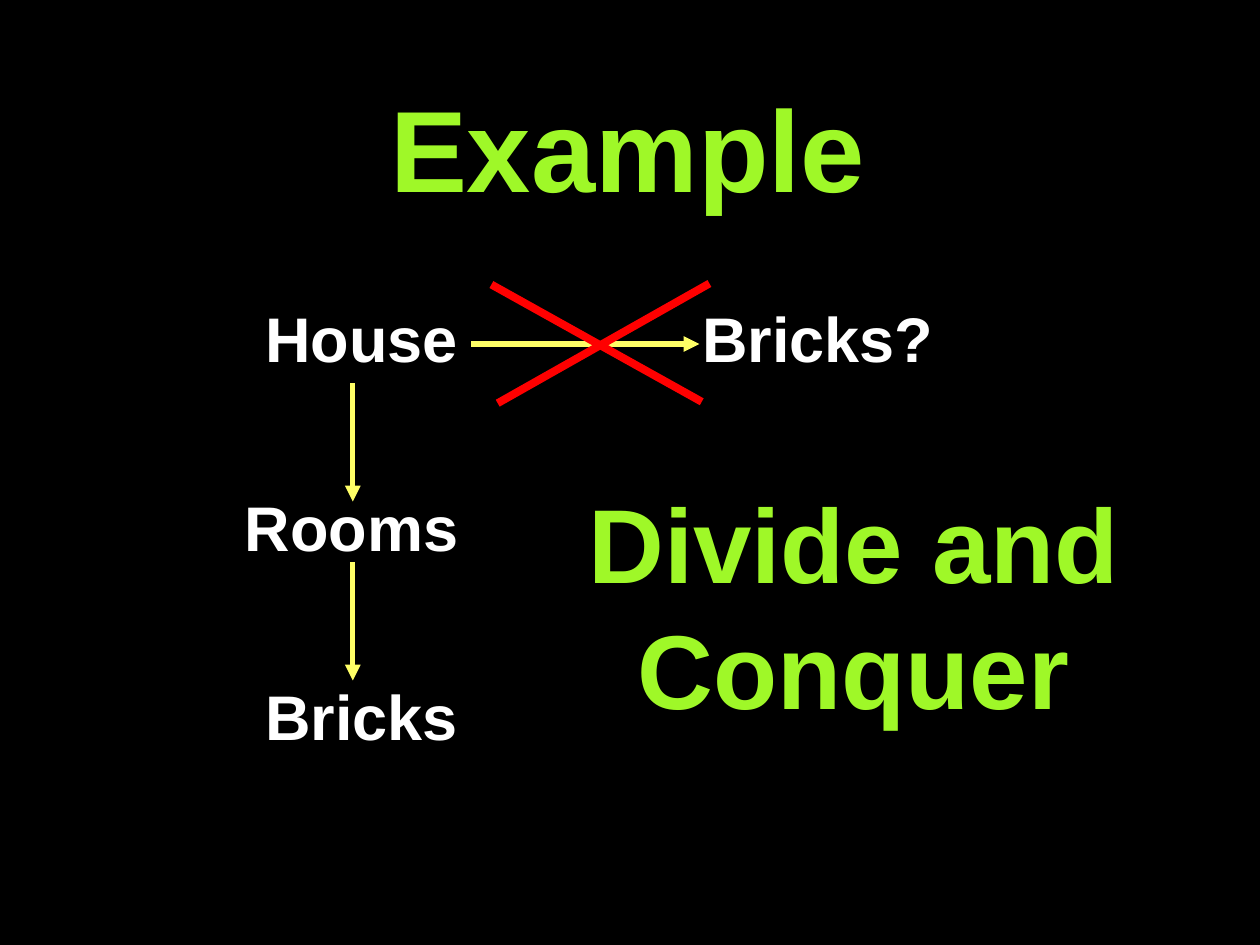
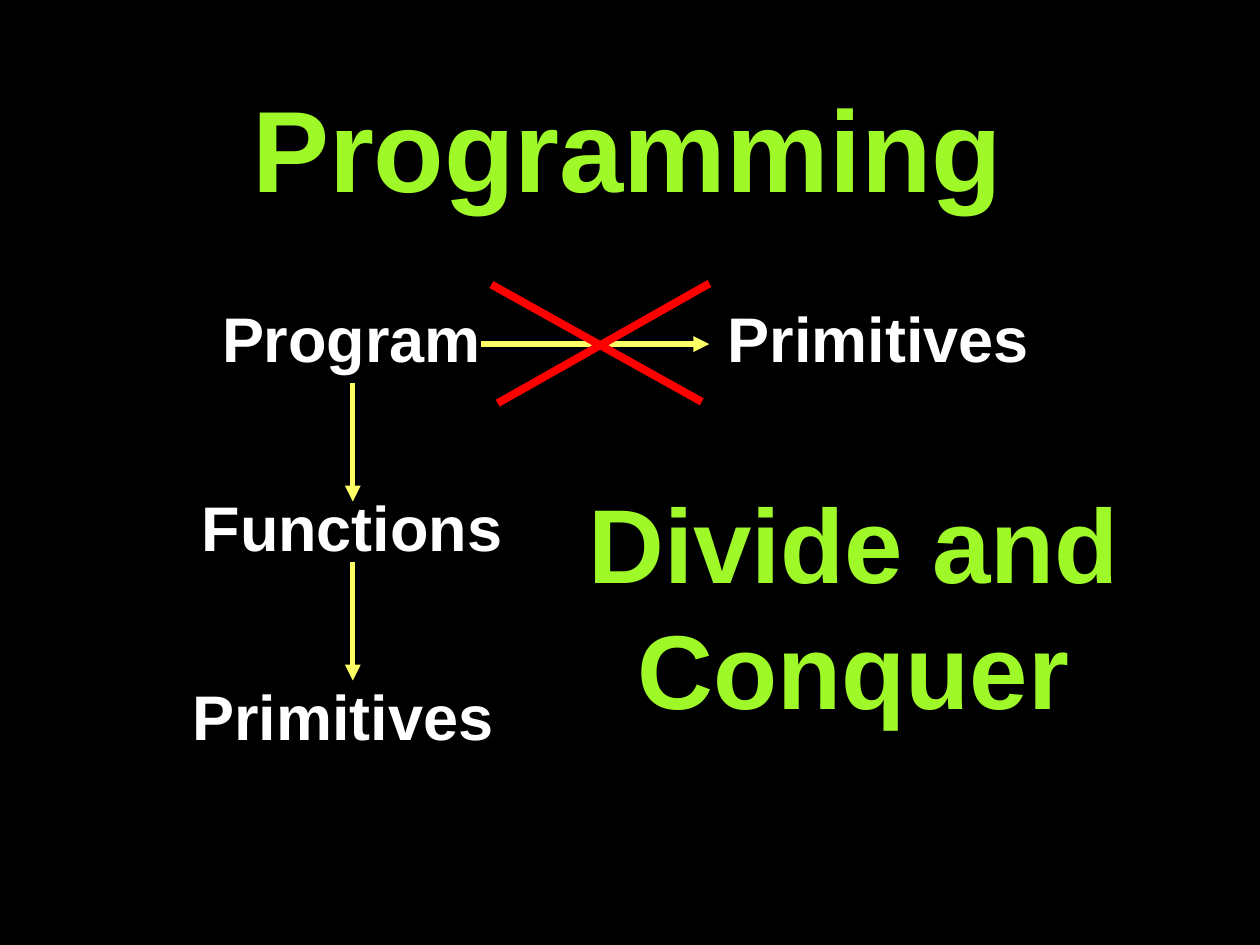
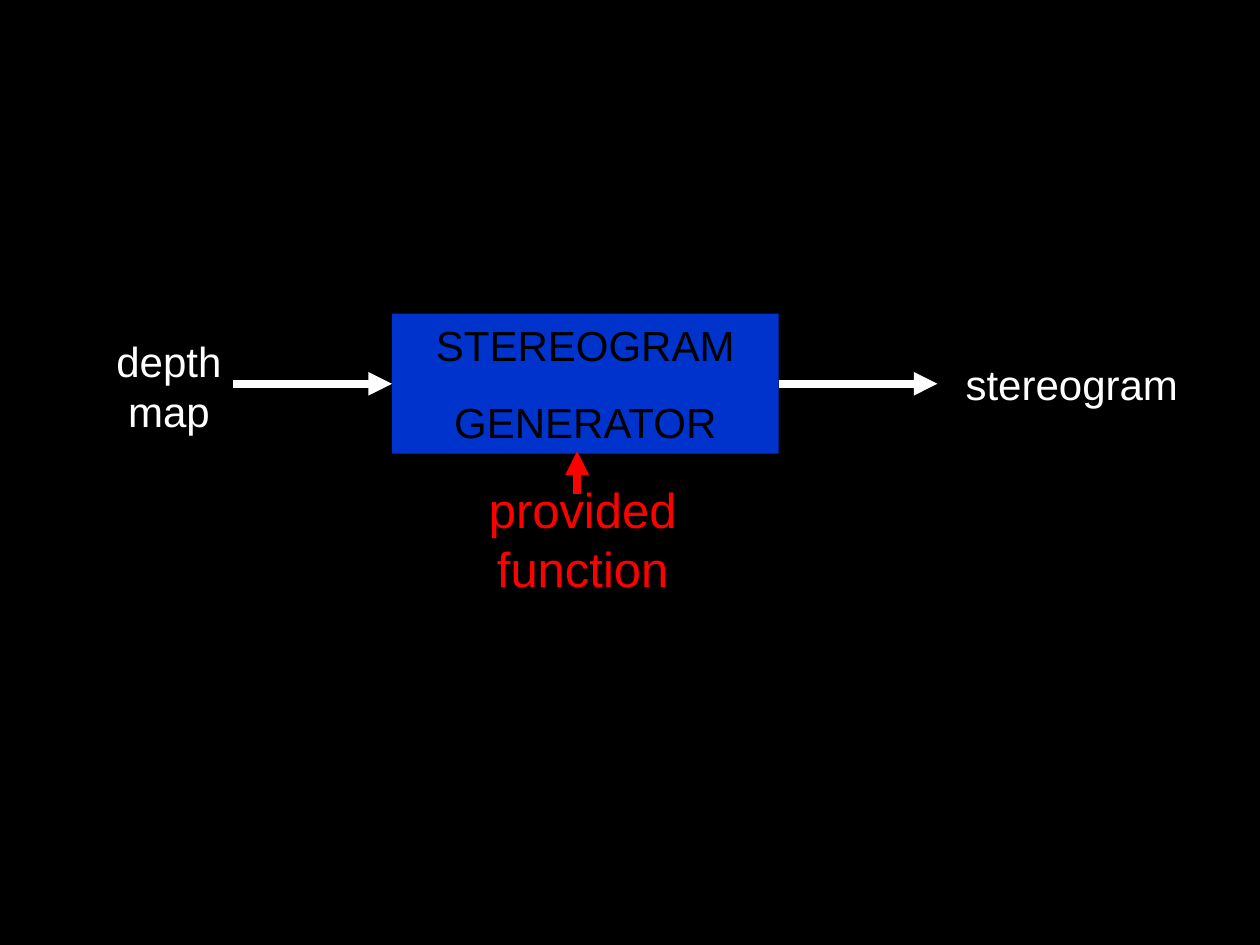
from pptx import Presentation
from pptx.dml.color import RGBColor as Rgb
from pptx.enum.shapes import MSO_CONNECTOR as Conn, MSO_SHAPE as Form
from pptx.enum.text import MSO_ANCHOR as Anchor, MSO_AUTO_SIZE as Fit, PP_ALIGN as Align
from pptx.oxml.ns import qn
from pptx.util import Pt
from lxml.etree import SubElement as Sub

HUES = {"back": "000000", "head": "9FF828", "text": "FFFFFF",
        "flow": "FFFF66", "alert": "FF0000", "block": "0033CC"}
FONT = "Arial"
LEAD = 1.2
STEP = 108  # between the levels of a ladder
DROP = 102.2  # between its down arrows


def hue(name):
    return Rgb.from_string(HUES[name])


def start(deck):
    slide = deck.slides.add_slide(deck.slide_layouts[6])
    slide.background.fill.solid()
    slide.background.fill.fore_color.rgb = hue("back")
    return slide


def write(shape, lines, size, color, bold=False, gap=0):
    """Fill a shape with centred paragraphs; a newline breaks the line."""
    frame = shape.text_frame
    frame.word_wrap = True
    frame.vertical_anchor = Anchor.TOP
    for i, line in enumerate(lines):
        para = frame.paragraphs[0] if i == 0 else frame.add_paragraph()
        para.alignment = Align.CENTER
        para.line_spacing = Pt(LEAD * size)
        para.space_before = Pt(gap if i else 0)
        for j, part in enumerate(line.split("\n")):
            if j:
                para.add_line_break()
            run = para.add_run()
            run.text = part
            font = run.font
            font.name, font.size, font.bold = FONT, Pt(size), bold
            font.color.rgb = hue(color)
    return frame


def label(slide, box, text, size, color, bold=False):
    shape = slide.shapes.add_textbox(*map(Pt, box))
    frame = write(shape, [text], size, color, bold)
    frame.auto_size = Fit.SHAPE_TO_FIT_TEXT
    return frame


def title(slide, text):
    frame = label(slide, (36, 22.3, 648, 123), text, 66, "head", True)
    frame.auto_size = Fit.NONE
    frame.vertical_anchor = Anchor.MIDDLE
    frame.margin_left = frame.margin_top = frame.margin_bottom = Pt(4.3)


def rule(slide, ends, color, width, arrow=True):
    line = slide.shapes.add_connector(Conn.STRAIGHT, *map(Pt, ends))
    line.line.color.rgb = hue(color)
    line.line.width = Pt(width)
    if arrow:
        Sub(line.line._get_or_add_ln(), qn("a:tailEnd"), type="triangle")
    Sub(line._element.spPr, qn("a:effectLst"))
    return line


def cross(slide, box):
    x, y, w, h = box
    rule(slide, (x, y + 0.6, x + w - 4.4, y + h - 0.8), "alert", 4.5, False)
    rule(slide, (x + 3.6, y + h, x + w, y), "alert", 4.5, False)


def ladder(slide, box, levels, goal, reach):
    """Levels joined downwards, and a crossed-out short cut to the goal.

    Each label is (text, left, width); reach is where the short cut starts.
    """
    x, y = box[:2]
    for i, (text, left, width) in enumerate(levels):
        spot = (x + left, y + 5.8 + i * STEP, width, 50.4)
        label(slide, spot, text, 36, "text", True)
    text, left, width = goal
    label(slide, (x + left, y + 5.8, width, 50.4), text, 36, "text", True)
    rule(slide, (x + reach, y + 34.6, x + reach + 130.3, y + 34.6), "flow", 3)
    cross(slide, (x + 200.8, y, 124.6, 68.4))
    for i in range(len(levels) - 1):
        top = y + 56.9 + i * DROP
        rule(slide, (x + 121.6, top, x + 121.6, top + 67.7), "flow", 3)


def split(deck, head, levels, goal, reach):
    slide = start(deck)
    title(slide, head)
    ladder(slide, (80, 162, 520, 272), levels, goal, reach)
    label(slide, (326.2, 270, 323.3, 151.2), "Divide and Conquer", 60, "head", True)


def machine(slide, box):
    """A block with its input, its output and a note below."""
    x, y, w, h = box
    left, top, wide, high = x + 170, y, 221, 80
    right, mid = left + wide, top + high / 2
    block = slide.shapes.add_shape(Form.RECTANGLE, *map(Pt, (left, top, wide, high)))
    block.shadow.inherit = False
    block.fill.solid()
    block.fill.fore_color.rgb = hue("block")
    block.line.fill.background()
    write(block, ["STEREOGRAM", "GENERATOR"], 24, "back", gap=15)
    label(slide, (x, y + 8.6, 85, 64.8), "depth map", 24, "text")
    label(slide, (x + w - 147.6, y + 22.3, 147.6, 36), "stereogram", 24, "text")
    feed = rule(slide, (left - 90.7, mid, left, mid), "text", 4.5)
    feed.end_connect(block, 1)
    give = rule(slide, (right, mid, right + 90.7, mid), "text", 4.5)
    give.begin_connect(block, 3)
    label(slide, (x + 156.2, y + h - 75, 245.5, 75), "provided\nfunction", 28, "alert")
    rule(slide, (x + 275.8, y + 103, x + 275.8, y + 78.5), "alert", 4.5)


def main():
    deck = Presentation()
    deck.slide_width, deck.slide_height = Pt(720), Pt(540)
    split(deck, "Example",
          [("House", 47.4, 158.4), ("Rooms", 41.7, 158.4), ("Bricks", 47.4, 158.4)],
          ("Bricks?", 308, 158.4), 189.3)
    split(deck, "Programming",
          [("Program", 35.9, 170), ("Functions", 7.8, 226.8), ("Primitives", 19.4, 193)],
          ("Primitives", 325.4, 193), 195)
    machine(start(deck), (54, 179.3, 632.2, 166.3))
    deck.save("out.pptx")


if __name__ == "__main__":
    main()
